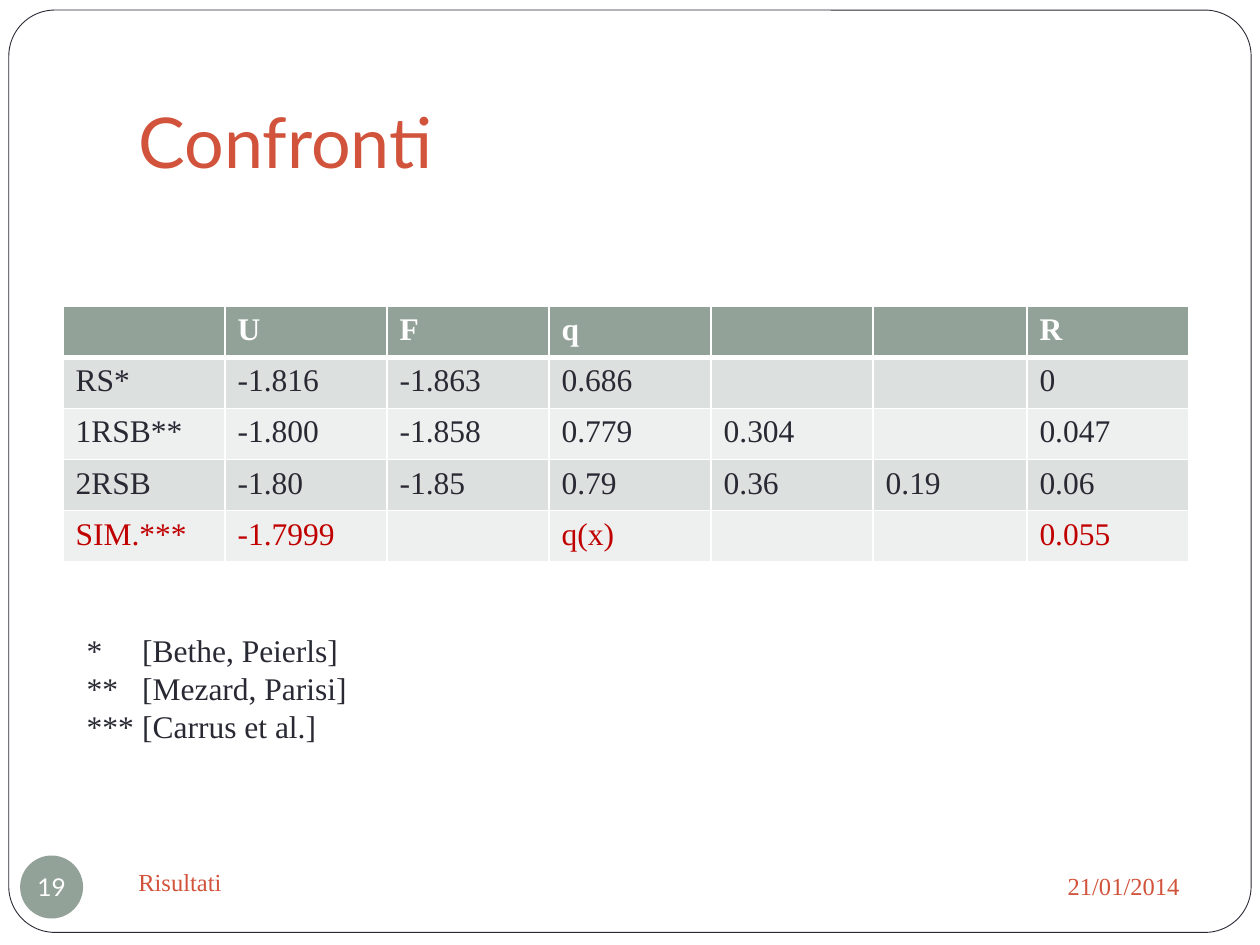
"""Build the "Confronti" slide that compares RS, RSB and simulated values."""
import dataclasses
import typing

import pptx
import pptx.dml.color
import pptx.enum.shapes
import pptx.enum.text
import pptx.oxml
import pptx.oxml.ns
import pptx.util

COLS, ROWS = 100, 75
SERIF, SANS = "Times New Roman", "Lato"
RUST, SAGE, INK, RED, WHITE = "D2533C", "93A299", "292934", "C00000", "FFFFFF"
BANDS = ("DCE0DE", "EEF0EF")
CELL_W, CELL_H = 12.86, 4.06
ALIGN = pptx.enum.text.PP_ALIGN
ANCHOR = pptx.enum.text.MSO_ANCHOR
SHAPE = pptx.enum.shapes.MSO_SHAPE

deck = pptx.Presentation()
deck.slide_width, deck.slide_height = pptx.util.Inches(10), pptx.util.Inches(7.5)
slide = deck.slides.add_slide(deck.slide_layouts[5])


@dataclasses.dataclass
class Box:
    left: float
    top: float
    width: float
    height: float

    def place(self) -> tuple[int, int, int, int]:
        col, row = deck.slide_width / COLS, deck.slide_height / ROWS
        return (round(self.left * col), round(self.top * row),
                round(self.width * col), round(self.height * row))


@dataclasses.dataclass
class Label:
    box: Box
    lines: list[str]
    font: dict[str, typing.Any]
    para: dict[str, typing.Any]
    frame: dict[str, typing.Any]


@dataclasses.dataclass
class Grid:
    left: float
    cells: list[list[str]]


def paint(color: typing.Any, value: str) -> None:
    color.rgb = pptx.dml.color.RGBColor.from_string(value)


def apply(target: typing.Any, values: dict[str, typing.Any]) -> None:
    for name, value in values.items():
        setattr(target, name, value)


def style(size: float, color: str, name: str = SERIF, bold: bool = False) -> dict[str, typing.Any]:
    return {"size": pptx.util.Pt(size), "name": name, "bold": bold, "color": color}


def write(frame: typing.Any, lines: list[str], font: dict[str, typing.Any],
          para: dict[str, typing.Any]) -> None:
    for i, line in enumerate(lines):
        item = frame.add_paragraph() if i else frame.paragraphs[0]
        apply(item, para)
        run = item.add_run()
        run.text = line
        apply(run.font, {k: v for k, v in font.items() if k != "color"})
        paint(run.font.color, font["color"])


def draw_label(label: Label, shape: typing.Any = None) -> typing.Any:
    if shape is None:
        shape = slide.shapes.add_textbox(*label.box.place())
    apply(shape, dict(zip(("left", "top", "width", "height"), label.box.place())))
    apply(shape.text_frame, {"word_wrap": True, **label.frame})
    write(shape.text_frame, label.lines, label.font, label.para)
    return shape


def draw_shape(kind: typing.Any, box: Box, fill: str) -> typing.Any:
    shape = slide.shapes.add_shape(kind, *box.place())
    shape.shadow.inherit = False
    shape.fill.solid()
    paint(shape.fill.fore_color, fill)
    shape.line.fill.background()
    return shape


def edge(cell: typing.Any, row: int) -> None:
    widths = {"lnL": 1, "lnR": 1, "lnT": 3 if row == 1 else 1, "lnB": 3 if row == 0 else 1}
    for i, (side, width) in enumerate(widths.items()):
        line = pptx.oxml.parse_xml(
            f'<a:{side} {pptx.oxml.ns.nsdecls("a")} w="{pptx.util.Pt(width)}">'
            f'<a:solidFill><a:srgbClr val="{WHITE}"/></a:solidFill></a:{side}>')
        cell._tc.get_or_add_tcPr().insert(i, line)


def draw_grid(grid: Grid) -> None:
    rows, cols = len(grid.cells), len(grid.cells[0])
    box = Box(grid.left, 24.3, cols * CELL_W, rows * CELL_H)
    table = slide.shapes.add_table(rows, cols, *box.place()).table
    for r, texts in enumerate(grid.cells):
        head, last = r == 0, r == rows - 1
        ink = WHITE if head else RED if last else INK
        for c, text in enumerate(texts):
            cell = table.cell(r, c)
            cell.fill.solid()
            paint(cell.fill.fore_color, SAGE if head else BANDS[(r - 1) % 2])
            edge(cell, r)
            if text:
                write(cell.text_frame, [text], style(18, ink, bold=head), {})


def main() -> None:
    border = draw_shape(SHAPE.ROUNDED_RECTANGLE, Box(0.7, 0.8, 98.6, 73.2), WHITE)
    border.adjustments[0] = 0.05
    paint(border.line.color, INK)
    border.line.width = pptx.util.Pt(0.5)
    title = slide.shapes.title
    slide.shapes._spTree.append(title._element)
    inch = pptx.util.Inches
    middle = {"vertical_anchor": ANCHOR.MIDDLE}
    draw_label(Label(Box(10, 3, 85, 12.5), ["Confronti"], style(40, RUST, SANS),
                     {"alignment": ALIGN.LEFT},
                     {"vertical_anchor": ANCHOR.BOTTOM, "margin_bottom": inch(0.1),
                      "auto_size": pptx.enum.text.MSO_AUTO_SIZE.NONE}), title)
    draw_label(Label(Box(67.5, 67.7, 27.1, 5.2), ["21/01/2014"], style(14, RUST),
                     {"alignment": ALIGN.RIGHT}, middle))
    draw_label(Label(Box(10, 67.5, 43.3, 5), ["Risultati"], style(14, RUST), {}, middle))
    disc = Box(1.6, 67.9, 5, 5)
    margins = {f"margin_{side}": 0 for side in ("left", "top", "right", "bottom")}
    draw_label(Label(disc, ["19"], style(14, WHITE, SANS), {"alignment": ALIGN.CENTER},
                     {**middle, **margins, "word_wrap": False}),
               draw_shape(SHAPE.OVAL, disc, SAGE))
    draw_grid(Grid(5, [["", "U", "F", "q", "", ""],
                       ["RS*", "-1.816", "-1.863", "0.686", "", ""],
                       ["1RSB**", "-1.800", "-1.858", "0.779", "0.304", ""],
                       ["2RSB", "-1.80", "-1.85", "0.79", "0.36", "0.19"],
                       ["SIM.***", "-1.7999", "", "q(x)", "", ""]]))
    notes = draw_label(Label(Box(5.9, 49.6, 39.4, 10.1),
                             ["*\t[Bethe, Peierls]", "**\t[Mezard, Parisi]",
                              "***\t[Carrus et al.]"], style(18, INK), {}, {}))
    for item in notes.text_frame.paragraphs:
        props, indent = item._p.get_or_add_pPr(), inch(0.44)
        props.set("marL", str(indent))
        props.set("indent", str(-indent))
    draw_grid(Grid(81.5, [["R"], ["0"], ["0.047"], ["0.06"], ["0.055"]]))
    deck.save("out.pptx")


if __name__ == "__main__":
    main()
